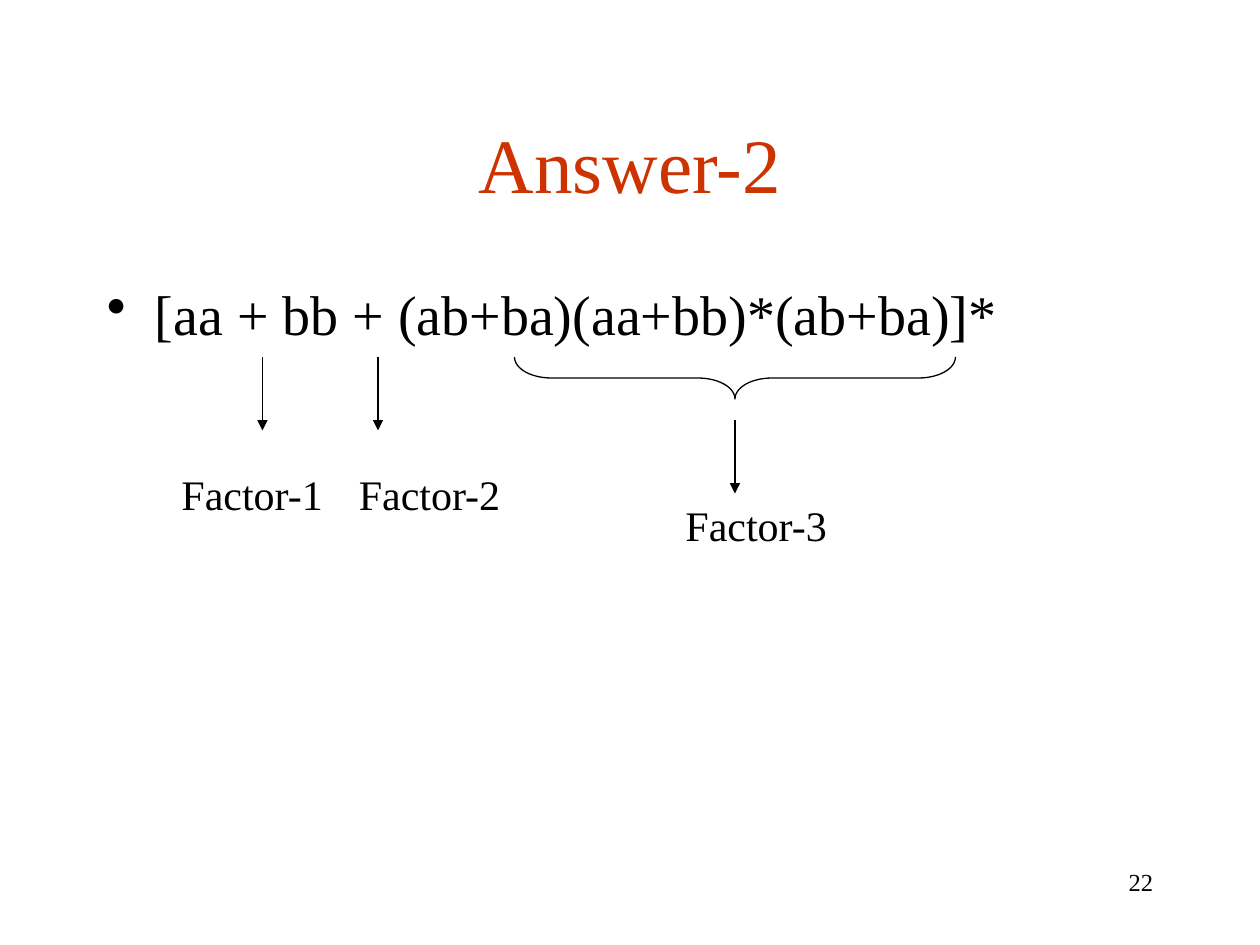
from dataclasses import dataclass

from lxml.etree import SubElement
from pptx import Presentation
from pptx.dml.color import RGBColor
from pptx.enum.shapes import MSO_CONNECTOR as Connector, MSO_SHAPE as Shape
from pptx.enum.text import MSO_ANCHOR as Anchor, MSO_AUTO_SIZE as AutoSize, PP_ALIGN as Align
from pptx.oxml.ns import qn
from pptx.util import Inches, Pt


@dataclass(frozen=True)
class Theme:
    font: str = "Times New Roman"
    accent: RGBColor = RGBColor(0xCC, 0x33, 0x00)
    ink: RGBColor = RGBColor(0, 0, 0)
    title: int = 44
    formula: int = 32
    label: int = 24
    number: int = 14
    line: float = 0.75


@dataclass(frozen=True)
class Factor:
    """A labelled arrow; lengths are in grid units."""
    label: str
    arrow_x: float
    arrow_y: float
    label_x: float
    label_y: float


THEME = Theme()
GRID = Inches(1) // 12  # the slide is 120 columns by 90 rows
ARROW_ROWS = 7
LABEL_SIZE = (16, 6)
FACTORS = [
    Factor("Factor-1", 25, 34, 16.1, 44),
    Factor("Factor-2", 36, 34, 33, 44),
    Factor("Factor-3", 70, 40, 64.1, 47),
]


def units(*lengths: float) -> list[int]:
    return [round(length * GRID) for length in lengths]


def write(frame, text: str, size: int, color: RGBColor = THEME.ink, align=Align.LEFT):
    frame.text = text
    paragraph = frame.paragraphs[0]
    paragraph.alignment = align
    font = paragraph.font
    font.name, font.size, font.color.rgb = THEME.font, Pt(size), color


def add_text(slide, box: tuple, text: str, size: int, align=Align.LEFT, wrap: bool = True):
    frame = slide.shapes.add_textbox(*units(*box)).text_frame
    frame.word_wrap = wrap
    if not wrap:
        frame.auto_size = AutoSize.SHAPE_TO_FIT_TEXT
    write(frame, text, size, align=align)
    return frame


def add_bullet(paragraph, indent: int):
    properties = paragraph._p.get_or_add_pPr()
    properties.set("marL", str(indent))
    properties.set("indent", str(-indent))
    SubElement(properties, qn("a:buChar")).set("char", "•")


def outline(line):
    line.color.rgb = THEME.ink
    line.width = Pt(THEME.line)


def add_factor(slide, factor: Factor):
    arrow = slide.shapes.add_connector(Connector.STRAIGHT, *units(
        factor.arrow_x, factor.arrow_y, factor.arrow_x, factor.arrow_y + ARROW_ROWS))
    outline(arrow.line)
    SubElement(arrow.line._get_or_add_ln(), qn("a:tailEnd")).set("type", "triangle")
    SubElement(arrow._element.spPr, qn("a:effectLst"))
    add_text(slide, (factor.label_x, factor.label_y, *LABEL_SIZE),
             factor.label, THEME.label, wrap=False)


def add_brace(slide, center_x: float, center_y: float, span: float, depth: float):
    """Horizontal brace whose tip points down."""
    brace = slide.shapes.add_shape(Shape.LEFT_BRACE, *units(
        center_x - depth / 2, center_y - span / 2, depth, span))
    brace.rotation = 270
    brace.adjustments[0] = 0.875
    brace.shadow.inherit = False
    brace.fill.background()
    outline(brace.line)


def main():
    deck = Presentation()
    deck.slide_width, deck.slide_height = units(120, 90)
    slide = deck.slides.add_slide(deck.slide_layouts[5])

    # Title
    title = slide.shapes.title
    title.left, title.top, title.width, title.height = units(9, 8, 102, 15)
    title.text_frame.vertical_anchor = Anchor.MIDDLE
    write(title.text_frame, "Answer-2", THEME.title, THEME.accent, Align.CENTER)

    # Regular expression
    formula = add_text(slide, (9, 26, 102, 54),
                       "[aa + bb + (ab+ba)(aa+bb)*(ab+ba)]*", THEME.formula)
    add_bullet(formula.paragraphs[0], Inches(0.38))

    # Factors of the expression
    for factor in FACTORS:
        add_factor(slide, factor)
    add_brace(slide, center_x=70, center_y=36, span=42, depth=4)

    # Slide number
    add_text(slide, (86, 82, 25, 6), "22", THEME.number, Align.RIGHT)

    deck.save("out.pptx")


if __name__ == "__main__":
    main()
